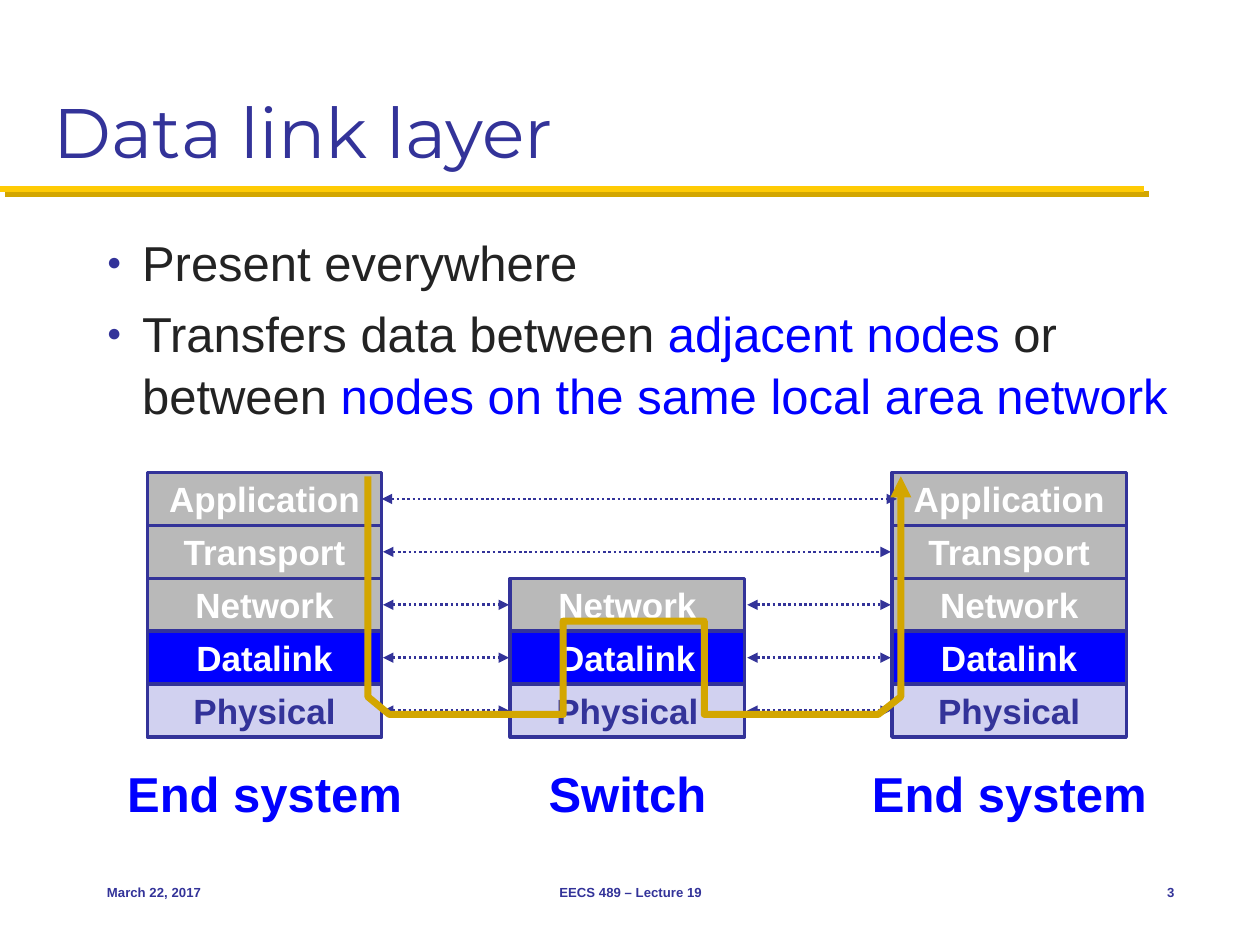
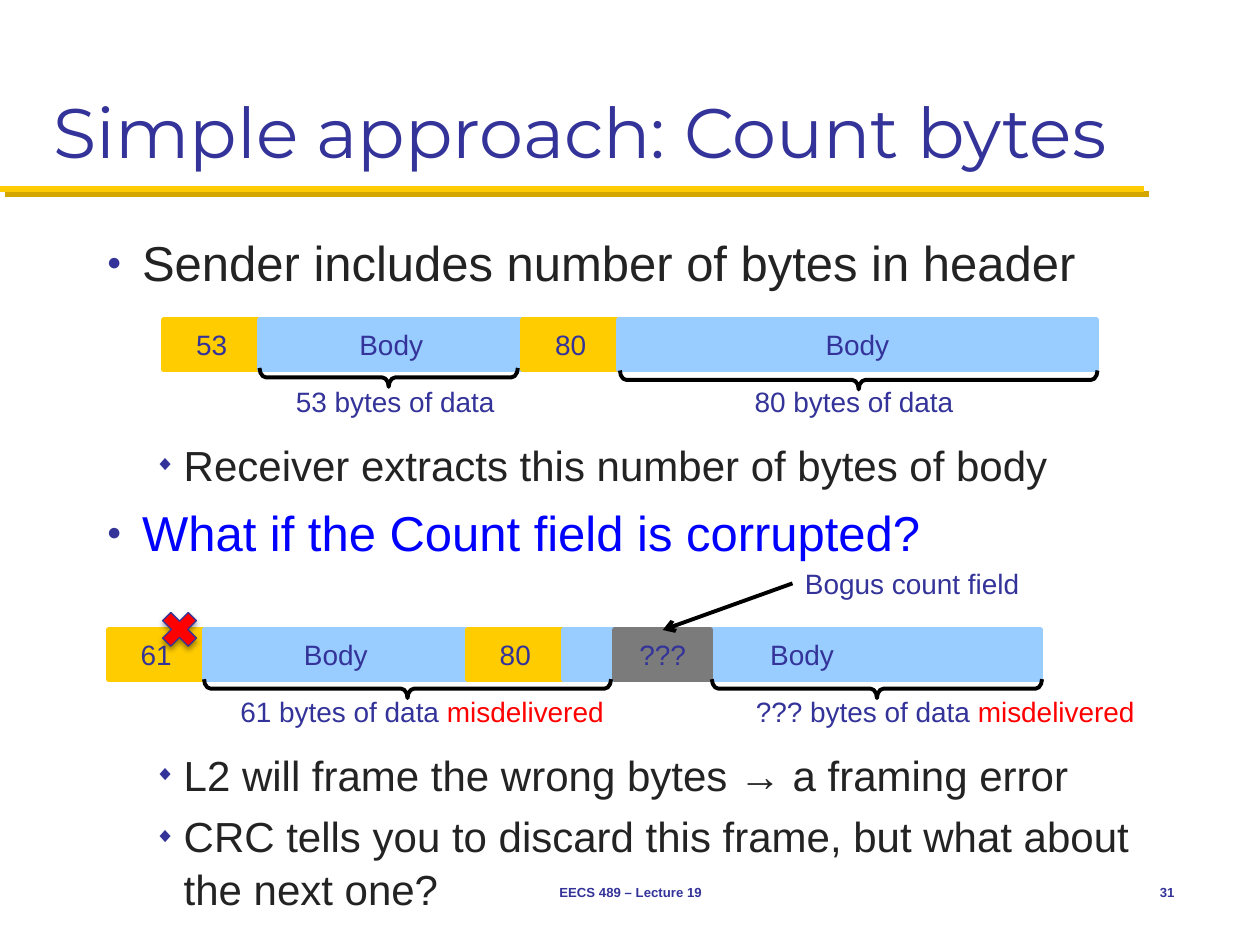
from lxml import etree
from pptx import Presentation
from pptx.dml.color import RGBColor
from pptx.enum.dml import MSO_LINE
from pptx.enum.shapes import MSO_CONNECTOR, MSO_SHAPE
from pptx.enum.text import MSO_ANCHOR, PP_ALIGN
from pptx.oxml.ns import qn
from pptx.util import Inches, Pt

LEFT, CENTER, RIGHT = PP_ALIGN.LEFT, PP_ALIGN.CENTER, PP_ALIGN.RIGHT
TOP, MIDDLE, BOTTOM = MSO_ANCHOR.TOP, MSO_ANCHOR.MIDDLE, MSO_ANCHOR.BOTTOM
RECTANGLE, LEFT_BRACE, MULTIPLY = MSO_SHAPE.RECTANGLE, MSO_SHAPE.LEFT_BRACE, MSO_SHAPE.MATH_MULTIPLY
STRAIGHT = MSO_CONNECTOR.STRAIGHT
DOTTED = MSO_LINE.ROUND_DOT

NAVY, INK, BLUE, RED = "333399", "232323", "0000FF", "FF0000"
WHITE, BLACK, GRAY, DARK_GRAY = "FFFFFF", "000000", "B9B9B9", "7B7B7B"
GOLD, DARK_GOLD, YELLOW = "FFCB05", "D3A600", "FFCC00"
SKY, LAVENDER = "99CCFF", "D1D1F0"

TITLE = {"name": "Montserrat", "size": Pt(40)}
FOOTER = {"name": "Arial", "size": Pt(7.5), "bold": True}
LAYER = {"name": "Arial", "size": Pt(20), "bold": True}
SYSTEM = {"name": "Arial", "size": Pt(28), "bold": True}
LABEL = {"name": "Arial", "size": Pt(16)}
BULLETS = [
    {"character": "●", "size": 28, "margin": 0.28, "hanging": 0.28},
    {"character": "◆", "size": 24, "margin": 0.61, "hanging": 0.23},
]
LINE_SPACING = 1.05

LAYERS = [
    ("Application", GRAY, WHITE),
    ("Transport", GRAY, WHITE),
    ("Network", GRAY, WHITE),
    ("Datalink", BLUE, WHITE),
    ("Physical", LAVENDER, NAVY),
]
STACK_TOP, LAYER_WIDTH, LAYER_HEIGHT = 3.75, 1.86, 0.42
COUNT_WIDTH, BODY_WIDTH, LONG_BODY_WIDTH, FRAME_HEIGHT = 0.76, 2.09, 3.79, 0.39


def rgb(colour):
    return RGBColor.from_string(colour)


def apply_format(target, values):
    for name, value in values.items():
        setattr(target, name, value)


def add_runs(paragraph, runs, font):
    for text, colour in runs:
        run = paragraph.add_run()
        run.text = text
        apply_format(run.font, font)
        run.font.color.rgb = rgb(colour)


def set_text(shape, runs, font, align=LEFT, anchor=TOP, wrap=True):
    apply_format(shape.text_frame, {"word_wrap": wrap, "vertical_anchor": anchor})
    paragraph = shape.text_frame.paragraphs[0]
    paragraph.alignment = align
    add_runs(paragraph, runs, font)


def add_text(slide, box, runs, font, align=LEFT, anchor=TOP):
    shape = slide.shapes.add_textbox(*map(Inches, box))
    set_text(shape, runs, font, align, anchor)


def add_shape(slide, kind, box, fill, line, width):
    shape = slide.shapes.add_shape(kind, *map(Inches, box))
    shape.shadow.inherit = False
    if fill:
        shape.fill.solid()
        shape.fill.fore_color.rgb = rgb(fill)
    else:
        shape.fill.background()
    set_line(shape, line, width)
    return shape


def set_line(shape, colour, width):
    shape.line.color.rgb = rgb(colour)
    shape.line.width = Pt(width)


def add_arrowheads(shape, **ends):
    line = shape.line._get_or_add_ln()
    for end in ("headEnd", "tailEnd"):
        if end in ends:
            etree.SubElement(line, qn(f"a:{end}"), type=ends[end])


def add_line(slide, start, end, colour, width, dash=None, **ends):
    connector = slide.shapes.add_connector(STRAIGHT, *map(Inches, start + end))
    set_line(connector, colour, width)
    if dash:
        connector.line.dash_style = dash
    add_arrowheads(connector, **ends)
    etree.SubElement(connector.element.spPr, qn("a:effectLst"))
    return connector


def add_shadow(shape, colour, opacity, blur, distance, angle):
    effects = shape.element.spPr.find(qn("a:effectLst"))
    shadow = etree.SubElement(
        effects, qn("a:outerShdw"), blurRad=str(Pt(blur)), dist=str(Pt(distance)),
        dir=str(angle * 60000), algn="ctr", rotWithShape="0")
    tint = etree.SubElement(shadow, qn("a:srgbClr"), val=colour)
    etree.SubElement(tint, qn("a:alpha"), val=str(opacity * 1000))


def add_bullet(paragraph, bullet):
    properties = paragraph._p.get_or_add_pPr()
    properties.set("marL", str(Inches(bullet["margin"])))
    properties.set("indent", str(-Inches(bullet["hanging"])))
    colour = etree.SubElement(properties, qn("a:buClr"))
    etree.SubElement(colour, qn("a:srgbClr"), val=NAVY)
    etree.SubElement(properties, qn("a:buSzPct"), val="50000")
    etree.SubElement(properties, qn("a:buFont"), typeface="Arial")
    etree.SubElement(properties, qn("a:buChar"), char=bullet["character"])


def add_bullets(slide, items):
    shape = slide.shapes.add_textbox(*map(Inches, (0.75, 1.77, 8.67, 4.83)))
    frame = shape.text_frame
    frame.word_wrap = True
    for index, (level, gap, runs) in enumerate(items):
        bullet = BULLETS[level]
        paragraph = frame.add_paragraph() if index else frame.paragraphs[0]
        space = gap + 0.2 * bullet["size"] if index else 0
        apply_format(paragraph, {"line_spacing": LINE_SPACING, "space_before": Pt(space)})
        add_bullet(paragraph, bullet)
        add_runs(paragraph, runs, {"name": "Arial", "size": Pt(bullet["size"])})


def add_base_slide(presentation, title, number, date=None):
    slide = presentation.slides.add_slide(presentation.slide_layouts[6])
    rule = add_line(slide, (0, 1.5), (9.08, 1.5), GOLD, 3.5)
    add_shadow(rule, DARK_GOLD, 100, 0, 4.2, 45)
    add_text(slide, (0.33, 0.17, 9.33, 1.25), [(title, NAVY)], TITLE, anchor=BOTTOM)
    footers = [
        (0.75, 2.08, date, LEFT),
        (3.42, 3.17, "EECS 489 – Lecture 19", CENTER),
        (8.75, 0.67, number, RIGHT),
    ]
    for left, width, text, align in footers:
        if text:
            add_text(slide, (left, 6.83, width, 0.5), [(text, NAVY)], FOOTER, align, MIDDLE)
    return slide


def add_stack(slide, left, first_layer, name):
    for row, (layer, fill, colour) in enumerate(LAYERS):
        if row >= first_layer:
            box = (left, STACK_TOP + row * LAYER_HEIGHT, LAYER_WIDTH, LAYER_HEIGHT)
            shape = add_shape(slide, RECTANGLE, box, fill, NAVY, 2)
            set_text(shape, [(layer, colour)], LAYER, CENTER, MIDDLE, wrap=False)
    caption_width = 2.41
    caption_left = left + (LAYER_WIDTH - caption_width) / 2
    add_text(slide, (caption_left, 6.01, caption_width, 0.57), [(name, BLUE)], SYSTEM, CENTER)


def add_peer_link(slide, row, start, end):
    y = STACK_TOP + (row + 0.5) * LAYER_HEIGHT
    add_line(slide, (start, y), (end, y), NAVY, 1.5, DOTTED,
             headEnd="triangle", tailEnd="triangle")


def add_data_route(slide, points):
    start, *rest = [tuple(map(Inches, point)) for point in points]
    builder = slide.shapes.build_freeform(*start)
    builder.add_line_segments(rest, close=False)
    route = builder.convert_to_shape()
    route.shadow.inherit = False
    route.fill.background()
    set_line(route, DARK_GOLD, 4)
    add_arrowheads(route, tailEnd="triangle")


def add_field(slide, left, top, width, text, fill):
    shape = add_shape(slide, RECTANGLE, (left, top, width, FRAME_HEIGHT), fill, fill, 3)
    set_text(shape, [(text, NAVY)], LABEL, CENTER, MIDDLE, wrap=False)


def add_frames(slide, left, top, counts):
    for count, body_width in zip(counts, (BODY_WIDTH, LONG_BODY_WIDTH)):
        add_field(slide, left, top, COUNT_WIDTH, count, YELLOW)
        add_field(slide, left + COUNT_WIDTH, top, body_width, "Body", SKY)
        left += COUNT_WIDTH + body_width


def add_brace(slide, left, top, length):
    depth = 0.15
    box = (left + (length - depth) / 2, top - (length - depth) / 2, depth, length)
    brace = add_shape(slide, LEFT_BRACE, box, None, BLACK, 2.25)
    brace.rotation = 270
    brace.adjustments[0] = 0.343


def build_layer_slide(presentation):
    slide = add_base_slide(presentation, "Data link layer", "3", "March 22, 2017")
    add_bullets(slide, [
        (0, 0, [("Present everywhere", INK)]),
        (0, 0, [("Transfers data between ", INK), ("adjacent nodes", BLUE),
                (" or between ", INK), ("nodes on the same local area network", BLUE)]),
    ])
    for left, first_layer, name in [(1.17, 0, "End system"), (7.08, 0, "End system"),
                                    (4.05, 2, "Switch")]:
        add_stack(slide, left, first_layer, name)
    add_peer_link(slide, 0, 3.03, 7.12)
    add_peer_link(slide, 1, 3.04, 7.07)
    for row in (2, 3, 4):
        add_peer_link(slide, row, 3.04, 4.04)
        add_peer_link(slide, row, 5.93, 7.07)
    add_data_route(slide, [
        (2.92, 3.78), (2.92, 5.53), (3.09, 5.67), (4.47, 5.67), (4.47, 4.93),
        (5.59, 4.93), (5.59, 5.67), (6.97, 5.67), (7.15, 5.53), (7.15, 3.78),
    ])


def build_count_slide(presentation):
    slide = add_base_slide(presentation, "Simple approach: Count bytes", "31")
    add_bullets(slide, [
        (0, 0, [("Sender includes number of bytes in header", INK)]),
        (1, 78.6, [("Receiver extracts this number of bytes of body", INK)]),
        (0, 0, [("What if the Count field is corrupted?", BLUE)]),
        (1, 101.2, [("L2 will frame the wrong bytes → a framing error", INK)]),
        (1, 0, [("CRC tells you to discard this frame, but what about the next one?", INK)]),
    ])
    add_frames(slide, 1.3, 2.54, ("53", "80"))
    add_frames(slide, 0.86, 5, ("61", "80"))
    add_field(slide, 4.88, 5, COUNT_WIDTH, "???", DARK_GRAY)
    for left, top, length in [(2.06, 2.92, 2.05), (4.92, 2.94, 3.79),
                              (1.62, 5.39, 3.23), (5.65, 5.39, 2.62)]:
        add_brace(slide, left, top, length)
    misdelivered = ("misdelivered", RED)
    for left, top, width, runs in [
        (2.25, 3, 1.8, [("53 bytes of data", NAVY)]),
        (5.89, 3, 1.8, [("80 bytes of data", NAVY)]),
        (1.81, 5.46, 3.12, [("61 bytes of data ", NAVY), misdelivered]),
        (5.9, 5.46, 3.25, [("??? bytes of data ", NAVY), misdelivered]),
        (6.29, 4.45, 1.92, [("Bogus count field", NAVY)]),
    ]:
        add_text(slide, (left, top, width, 0.37), runs, LABEL)
    cross = add_shape(slide, MULTIPLY, (1.23, 4.8, 0.39, 0.39), RED, NAVY, 0.75)
    add_shadow(cross, BLACK, 38, 3.1, 1.6, 90)
    add_line(slide, (6.29, 4.63), (5.26, 5), BLACK, 2.25, tailEnd="arrow")


def main():
    presentation = Presentation()
    apply_format(presentation, {"slide_width": Inches(10), "slide_height": Inches(7.5)})
    build_layer_slide(presentation)
    build_count_slide(presentation)
    presentation.save("out.pptx")


if __name__ == "__main__":
    main()
